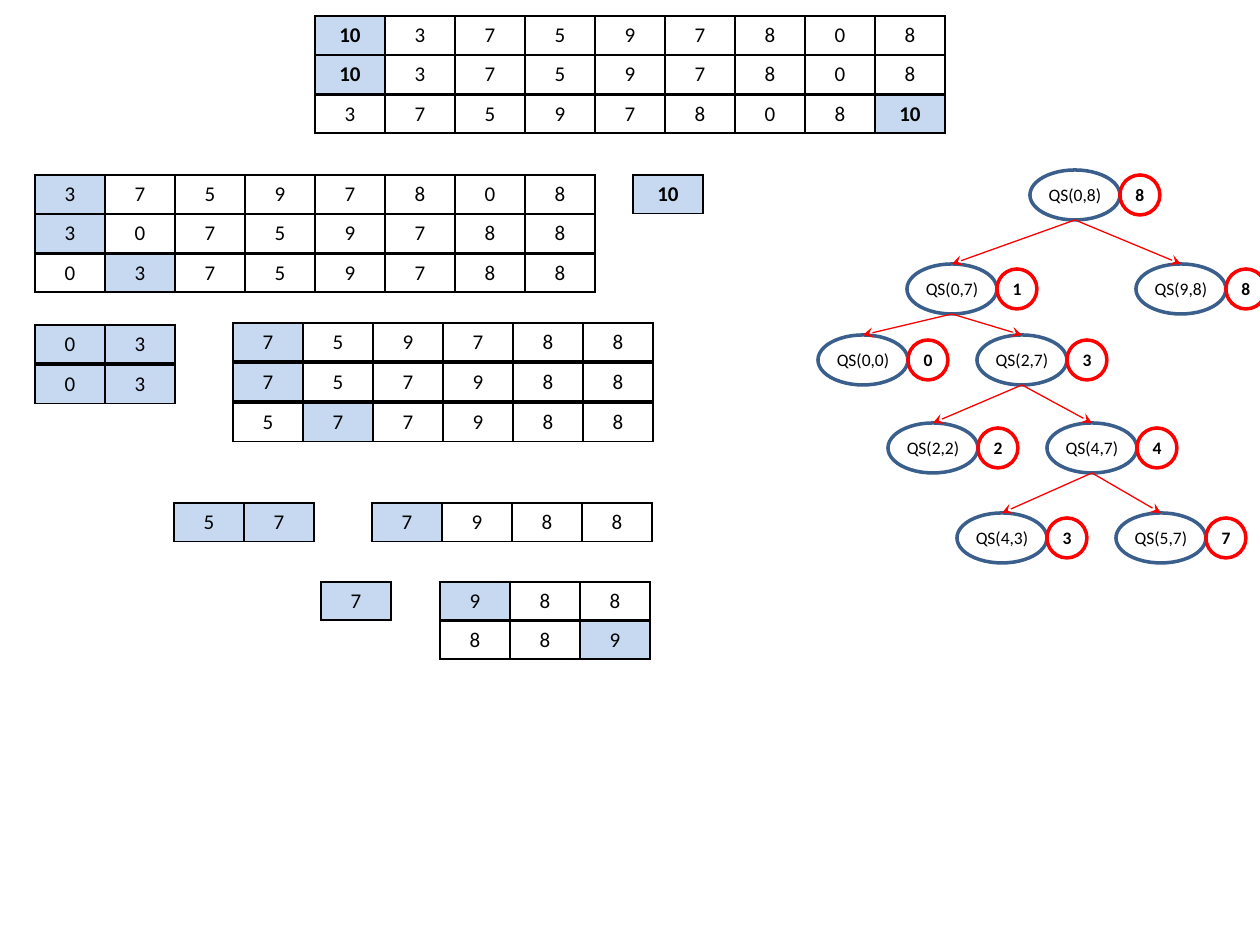
from dataclasses import dataclass
from typing import Optional

from lxml import etree
from pptx import Presentation, util as u
from pptx.dml import color
from pptx.enum import shapes, text
from pptx.oxml import ns

SCALE = 914400 // 126
FONT = "Calibri"
BLACK, PALE, BLUE, RED = "000000", "C6D9F1", "3A5F8C", "FF0000"
CELL_W, CELL_H = 70, 38
NODE_W, NODE_H, RING = 90, 50, 40


@dataclass
class Strip:
    x: int
    y: int
    vals: str
    marks: tuple[int, ...] = (0,)


@dataclass
class Node:
    x: int
    y: int
    call: str
    pivot: str
    parent: Optional[int] = None


STRIPS = [
    Strip(315, 16, "10 3 7 5 9 7 8 0 8"),
    Strip(315, 55, "10 3 7 5 9 7 8 0 8"),
    Strip(315, 95, "3 7 5 9 7 8 0 8 10", (8,)),
    Strip(35, 175, "3 7 5 9 7 8 0 8"),
    Strip(35, 214, "3 0 7 5 9 7 8 8"),
    Strip(35, 254, "0 3 7 5 9 7 8 8", (1,)),
    Strip(633, 175, "10"),
    Strip(35, 325, "0 3", (0, 1)),
    Strip(35, 365, "0 3", (0, 1)),
    Strip(233, 323, "7 5 9 7 8 8"),
    Strip(233, 363, "7 5 7 9 8 8"),
    Strip(233, 403, "5 7 7 9 8 8", (1,)),
    Strip(174, 503, "5 7", (0, 1)),
    Strip(372, 503, "7 9 8 8"),
    Strip(321, 582, "7"),
    Strip(440, 582, "9 8 8"),
    Strip(440, 621, "8 8 9", (2,)),
]

NODES = [
    Node(1030, 170, "0,8", "8"),
    Node(907, 264, "0,7", "1", 0),
    Node(1136, 264, "9,8", "8", 0),
    Node(818, 335, "0,0", "0", 1),
    Node(977, 335, "2,7", "3", 1),
    Node(888, 423, "2,2", "2", 4),
    Node(1047, 423, "4,7", "4", 4),
    Node(957, 513, "4,3", "3", 6),
    Node(1116, 513, "5,7", "7", 6),
]


def px(num: int) -> int:
    return u.Emu(num * SCALE)


def rgb(code: str) -> color.RGBColor:
    return color.RGBColor.from_string(code)


def write(frame, words: str, size: int, bold: bool) -> None:
    para = frame.paragraphs[0]
    para.alignment = text.PP_ALIGN.CENTER
    run = para.add_run()
    run.text = words
    run.font.name = FONT
    run.font.size = u.Pt(size)
    run.font.bold = bold
    run.font.color.rgb = rgb(BLACK)


def border(cell) -> None:
    props = cell._tc.get_or_add_tcPr()
    for side in ("lnL", "lnR", "lnT", "lnB"):
        line = etree.SubElement(props, ns.qn(f"a:{side}"), w=str(u.Pt(1)))
        fill = etree.SubElement(line, ns.qn("a:solidFill"))
        etree.SubElement(fill, ns.qn("a:srgbClr"), val=BLACK)


def draw_strip(slide, strip: Strip) -> None:
    vals = strip.vals.split()
    table = slide.shapes.add_table(
        1, len(vals), px(strip.x), px(strip.y), px(CELL_W * len(vals)), px(CELL_H)
    ).table
    table.first_row = table.horz_banding = False
    for idx, val in enumerate(vals):
        table.columns[idx].width = px(CELL_W)
        cell = table.cell(0, idx)
        border(cell)
        if idx in strip.marks:
            cell.fill.solid()
            cell.fill.fore_color.rgb = rgb(PALE)
        else:
            cell.fill.background()
        write(cell.text_frame, val, 12, val == "10")


def draw_oval(slide, x: int, y: int, w: int, h: int,
              words: str, hue: str, bold: bool) -> None:
    oval = slide.shapes.add_shape(shapes.MSO_SHAPE.OVAL, px(x), px(y), px(w), px(h))
    oval.shadow.inherit = False
    oval.fill.background()
    oval.line.color.rgb = rgb(hue)
    oval.line.width = u.Pt(2)
    frame = oval.text_frame
    frame.margin_left = frame.margin_right = 0
    frame.margin_top = frame.margin_bottom = 0
    frame.vertical_anchor = text.MSO_ANCHOR.MIDDLE
    write(frame, words, 10, bold)


def draw_node(slide, node: Node) -> None:
    draw_oval(slide, node.x, node.y, NODE_W, NODE_H, f"QS({node.call})", BLUE, False)
    draw_oval(slide, node.x + NODE_W, node.y + (NODE_H - RING) // 2,
              RING, RING, node.pivot, RED, True)


def draw_arrow(slide, start: Node, end: Node) -> None:
    mid = NODE_W // 2
    arrow = slide.shapes.add_connector(
        shapes.MSO_CONNECTOR.STRAIGHT,
        px(start.x + mid), px(start.y + NODE_H), px(end.x + mid), px(end.y),
    )
    arrow.line.color.rgb = rgb(RED)
    arrow.line.width = u.Pt(0.75)
    props = arrow._element.spPr
    etree.SubElement(props.find(ns.qn("a:ln")), ns.qn("a:tailEnd"), type="stealth")
    etree.SubElement(props, ns.qn("a:effectLst"))


def main() -> None:
    deck = Presentation()
    deck.slide_width, deck.slide_height = u.Inches(10), u.Inches(7.5)
    slide = deck.slides.add_slide(deck.slide_layouts[6])
    for strip in STRIPS:
        draw_strip(slide, strip)
    for node in NODES:
        draw_node(slide, node)
        if node.parent is not None:
            draw_arrow(slide, NODES[node.parent], node)
    deck.save("out.pptx")


main()
